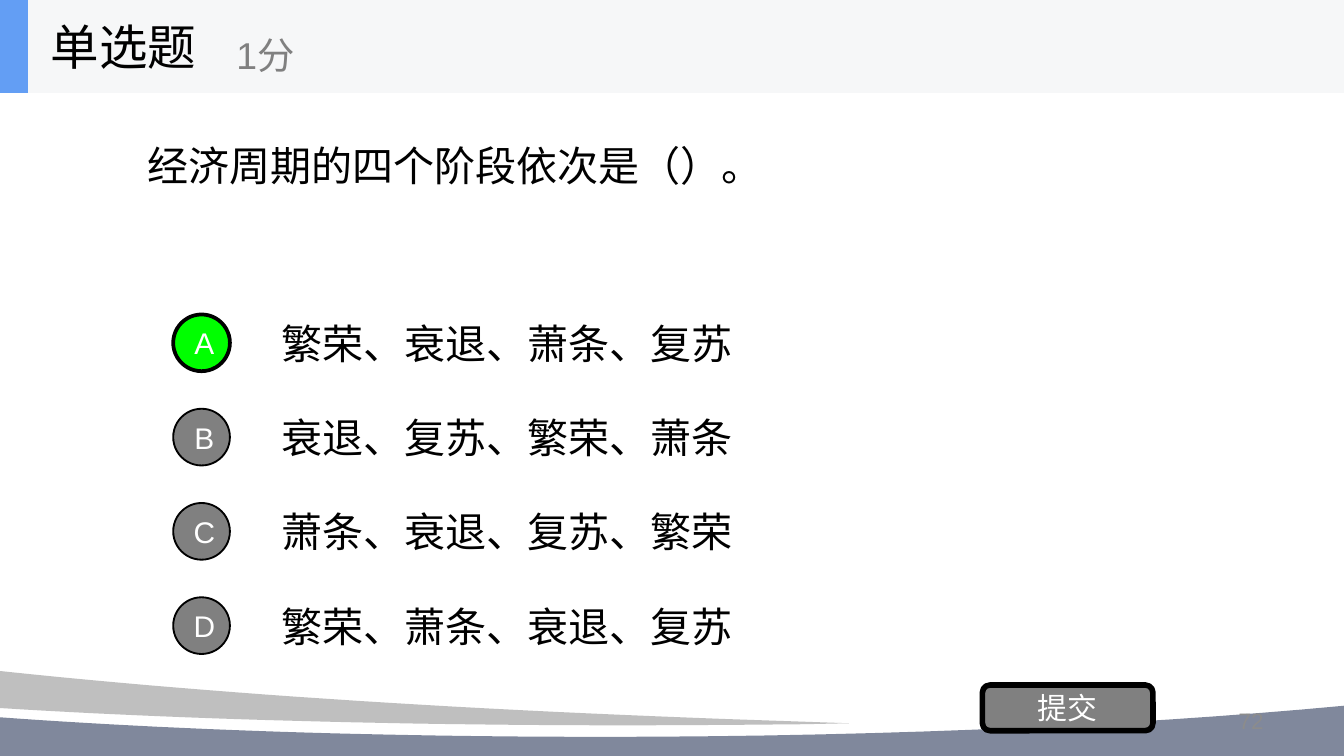
from pptx import Presentation
from pptx import util as u
from pptx.dml.color import RGBColor
from pptx.enum import shapes, text

Pt = u.Pt
COLORS = {
    "ink": "000000", "white": "FFFFFF", "grey": "808080", "number": "8C8C8C",
    "correct": "00FF00", "bar": "F6F7F8", "accent": "639EF4",
    "slate": "80889C", "silver": "BFBFBF",
}
FONT = "Arial"
LEFT, CENTER, RIGHT = text.PP_ALIGN.LEFT, text.PP_ALIGN.CENTER, text.PP_ALIGN.RIGHT
KINDS = shapes.MSO_SHAPE
CURVE_STEPS = 24


def color(name):
    return RGBColor.from_string(COLORS[name])


def write(shape, words, size, ink, align=LEFT, **frame_format):
    frame = shape.text_frame
    frame_values = {"word_wrap": True, "vertical_anchor": text.MSO_ANCHOR.MIDDLE}
    for name, value in (frame_values | frame_format).items():
        setattr(frame, name, value)
    para = frame.paragraphs[0]
    para.alignment = align
    span = para.add_run()
    span.text = words
    for name, value in {"name": FONT, "size": Pt(size)}.items():
        setattr(span.font, name, value)
    span.font.color.rgb = color(ink)


def add_label(page, box, words, size, ink="ink", align=LEFT):
    label = page.shapes.add_textbox(*map(Pt, box))
    write(label, words, size, ink, align)


def paint(shape, fill, line_width=0):
    shape.shadow.inherit = False
    shape.fill.solid()
    shape.fill.fore_color.rgb = color(fill)
    if line_width:
        shape.line.color.rgb = color("ink")
        shape.line.width = Pt(line_width)
    else:
        shape.line.fill.background()


def add_block(page, kind, box, fill, line_width=0):
    block = page.shapes.add_shape(kind, *map(Pt, box))
    paint(block, fill, line_width)
    return block


def curve(start, first, second, end):
    """Points along a cubic curve, after its start."""
    points = []
    for step in range(1, CURVE_STEPS + 1):
        t = step / CURVE_STEPS
        weights = ((1 - t) ** 3, 3 * t * (1 - t) ** 2, 3 * t * t * (1 - t), t ** 3)
        points.append(tuple(
            sum(weight * value for weight, value in zip(weights, values))
            for values in zip(start, first, second, end)))
    return points


def outline(start, *segments):
    """Join line ends (x, y) and curve triples into one list of points."""
    points = [start]
    for segment in segments:
        if len(segment) == 3:
            points += curve(points[-1], *segment)
        else:
            points.append(segment)
    return points


def add_waves(page, box):
    left, top, width, height = box
    slate = outline(
        (width, 0), (width, height), (0, height), (0, 26.5), (55.5, 31),
        ((152.5, 38.2), (264.5, 41.8), (383, 41.8)),
        ((620.5, 41.8), (829.5, 26), (953.5, 1.5)))
    silver = outline(
        (0, 0), (50.5, 5.5),
        ((165, 18), (299.5, 26.8), (448, 32.2)),
        (514.8, 34.5), (492.5, 35),
        ((460.8, 35.3), (427.7, 35.6), (394, 35.6)),
        ((259.2, 35.6), (137.5, 31.5), (49.7, 25.7)),
        (0, 21.5))
    for points, fill in ((slate, "slate"), (silver, "silver")):
        places = [(Pt(left + x), Pt(top + y)) for x, y in points]
        builder = page.shapes.build_freeform(*places[0])
        builder.add_line_segments(places[1:], close=True)
        paint(builder.convert_to_shape(), fill)


def add_option(page, box, letter, words, correct=False):
    left, top, width, height = box
    size, offset = 30.4, 51
    add_label(page, (left + offset, top, width - offset, height), words, 22)
    circle = add_block(
        page, KINDS.OVAL, (left, top + (height - size) / 2, size, size),
        "correct" if correct else "grey", 2 if correct else 1)
    write(circle, letter, 16, "white", CENTER, word_wrap=False,
          margin_left=Pt(3), margin_right=0, margin_top=0, margin_bottom=0)


def add_options(page, box, options, answer):
    left, top, width, height = box
    row = 38
    pitch = (height - row) / (len(options) - 1)
    for index, (letter, words) in enumerate(options.items()):
        add_option(page, (left, top + index * pitch, width, row),
                   letter, words, letter == answer)


def add_submit(page, box):
    button = add_block(page, KINDS.ROUNDED_RECTANGLE, box, "grey", 3)
    write(button, "提交", 16, "white", CENTER, margin_top=0, margin_bottom=0)


def add_header(page, box):
    left, top, width, height = box
    add_block(page, KINDS.RECTANGLE, box, "bar")
    add_block(page, KINDS.RECTANGLE, (left, top, 15, height), "accent")
    add_label(page, (left + 20.2, top, 150, height), "单选题", 26)
    add_label(page, (left + 119.5, top + 8.8, 180, 40.5), "1分", 20, "grey")


def main():
    deck = Presentation()
    deck.slide_width, deck.slide_height = Pt(720), Pt(405)
    page = deck.slides.add_slide(deck.slide_layouts[6])

    # Background waves and page number
    add_waves(page, (-60, 353, 960, 52))
    add_label(page, (516, 375, 168, 21.6), "72", 12, "number", RIGHT)

    # Question and answers
    add_label(page, (72, 25.2, 576, 126.7), "经济周期的四个阶段依次是（）。", 22)
    add_options(page, (92.8, 164.7, 555.2, 189.5), {
        "A": "繁荣、衰退、萧条、复苏",
        "B": "衰退、复苏、繁荣、萧条",
        "C": "萧条、衰退、复苏、繁荣",
        "D": "繁荣、萧条、衰退、复苏",
    }, answer="A")
    add_submit(page, (526.3, 367, 91.4, 24.5))

    # Title bar
    add_header(page, (0, 0, 720, 49.8))
    deck.save("out.pptx")


if __name__ == "__main__":
    main()
